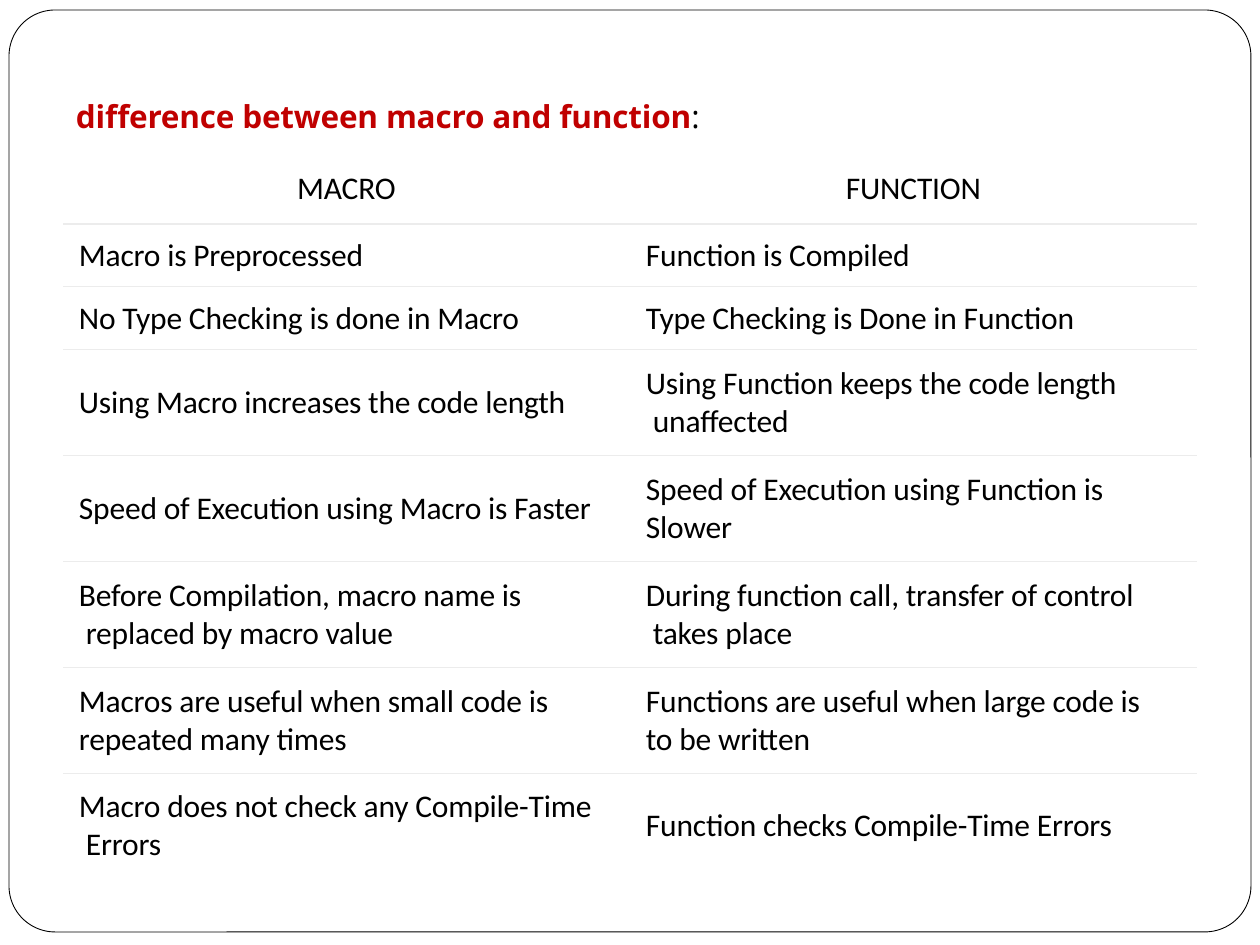
from typing import NamedTuple

from lxml import etree
from pptx import Presentation
from pptx import util as u
from pptx.dml.color import RGBColor
from pptx.enum import shapes, text
from pptx.oxml.ns import qn

PIXEL = u.Inches(1) // 126
BLACK, WHITE, RED, RULE = "000000", "FFFFFF", "C00000", "ECECEC"
NO_STYLE = "{2D5ABB26-0587-4C30-8999-92F81FD0307C}"


class Contrast(NamedTuple):
    """One row of the comparison; a vertical tab breaks a line."""
    macro: str
    function: str
    height: int
    top_margin: int = 0


class Column(NamedTuple):
    """Width and text indent of a table column."""
    width: int
    indent: int


HEADER = Contrast("MACRO", "FUNCTION", 46)
CONTRASTS = [
    Contrast("Macro is Preprocessed", "Function is Compiled", 63),
    Contrast("No Type Checking is done in Macro",
             "Type Checking is Done in Function", 63),
    Contrast("Using Macro increases the code length",
             "Using Function keeps the code length\v unaffected", 106),
    Contrast("Speed of Execution using Macro is Faster",
             "Speed of Execution using Function is\vSlower", 106),
    Contrast("Before Compilation, macro name is\v replaced by macro value",
             "During function call, transfer of control\v takes place", 106),
    Contrast("Macros are useful when small code is\vrepeated many times",
             "Functions are useful when large code is\vto be written", 106),
    Contrast("Macro does not check any Compile-Time\v Errors",
             "Function checks Compile-Time Errors", 91, 13),
]
COLUMNS = [Column(559, 16), Column(575, 24)]


def px(count: int) -> u.Emu:
    """Turn pixels into EMU."""
    return u.Emu(count * PIXEL)


def color(value: str) -> RGBColor:
    """Turn a hex string into a colour."""
    return RGBColor.from_string(value)


def tighten(paragraph) -> None:
    """Draw the letters of a paragraph slightly closer."""
    for run in paragraph.runs:
        run._r.get_or_add_rPr().set("spc", "-10")


def draw_frame(slide) -> None:
    """Put the rounded outline behind everything else."""
    frame = slide.shapes.add_shape(shapes.MSO_SHAPE.ROUNDED_RECTANGLE,
                                   px(9), px(10), px(1242), px(922))
    frame.adjustments[0] = 0.05
    frame.shadow.inherit = False
    frame.fill.solid()
    frame.fill.fore_color.rgb = color(WHITE)
    frame.line.color.rgb = color(BLACK)
    frame.line.width = u.Pt(0.5)
    slide.shapes._spTree.insert(2, frame._element)


def write_heading(slide) -> None:
    """Fill the title placeholder."""
    heading = slide.shapes.title
    heading.left, heading.top = px(74), px(97)
    heading.width, heading.height = px(714), px(42)
    frame = heading.text_frame
    frame.margin_left = px(2)
    frame.margin_right = frame.margin_top = frame.margin_bottom = 0
    frame.vertical_anchor = text.MSO_ANCHOR.TOP
    frame.auto_size = text.MSO_AUTO_SIZE.NONE
    line = frame.paragraphs[0]
    line.alignment = text.PP_ALIGN.LEFT
    line.font.size = u.Pt(18)
    line.font.name = "Open Sans"
    for words, shade, bold in (("difference between macro and function", RED, True),
                               (":", BLACK, False)):
        run = line.add_run()
        run.text = words
        run.font.bold = bold
        run.font.color.rgb = color(shade)
    tighten(line)


def rule_edge(cell, edge: str) -> None:
    """Draw a thin rule on one edge of a cell."""
    border = etree.Element(qn(f"a:{edge}"), w=str(u.Pt(0.75)))
    fill = etree.SubElement(border, qn("a:solidFill"))
    etree.SubElement(fill, qn("a:srgbClr"), val=RULE)
    cell._tc.get_or_add_tcPr().insert(0, border)


def write_cell(cell, words: str, indent: int, top_margin: int, header: bool) -> None:
    """Write and format one cell."""
    cell.fill.background()
    cell.margin_left, cell.margin_top = px(indent), px(top_margin)
    cell.margin_right = cell.margin_bottom = 0
    cell.vertical_anchor = text.MSO_ANCHOR.TOP if header else text.MSO_ANCHOR.MIDDLE
    line = cell.text_frame.paragraphs[0]
    line.text = words
    line.font.size = u.Pt(18)
    line.font.name = "Calibri"
    line.font.color.rgb = color(BLACK)
    if header:
        line.alignment = text.PP_ALIGN.CENTER
        line.line_spacing = u.Pt(17.1)
    tighten(line)


def draw_comparison(slide) -> None:
    """Build the table of contrasts."""
    rows = [HEADER, *CONTRASTS]
    table = slide.shapes.add_table(
        len(rows), len(COLUMNS), px(63), px(178),
        px(sum(column.width for column in COLUMNS)),
        px(sum(row.height for row in rows))).table
    table.horz_banding = False
    table._tbl.tblPr.find(qn("a:tableStyleId")).text = NO_STYLE
    for index, column in enumerate(COLUMNS):
        table.columns[index].width = px(column.width)
    for number, row in enumerate(rows):
        table.rows[number].height = px(row.height)
        header = row is HEADER
        for index, words in enumerate((row.macro, row.function)):
            cell = table.cell(number, index)
            indent = 8 if header else COLUMNS[index].indent
            write_cell(cell, words, indent, row.top_margin, header)
            if number < len(rows) - 1:
                rule_edge(cell, "lnB")
            if number:
                rule_edge(cell, "lnT")


def main() -> None:
    """Build and save the slide."""
    deck = Presentation()
    deck.slide_width, deck.slide_height = u.Inches(10), u.Inches(7.5)
    slide = deck.slides.add_slide(deck.slide_layouts[5])
    draw_frame(slide)
    write_heading(slide)
    draw_comparison(slide)
    deck.save("out.pptx")


main()
